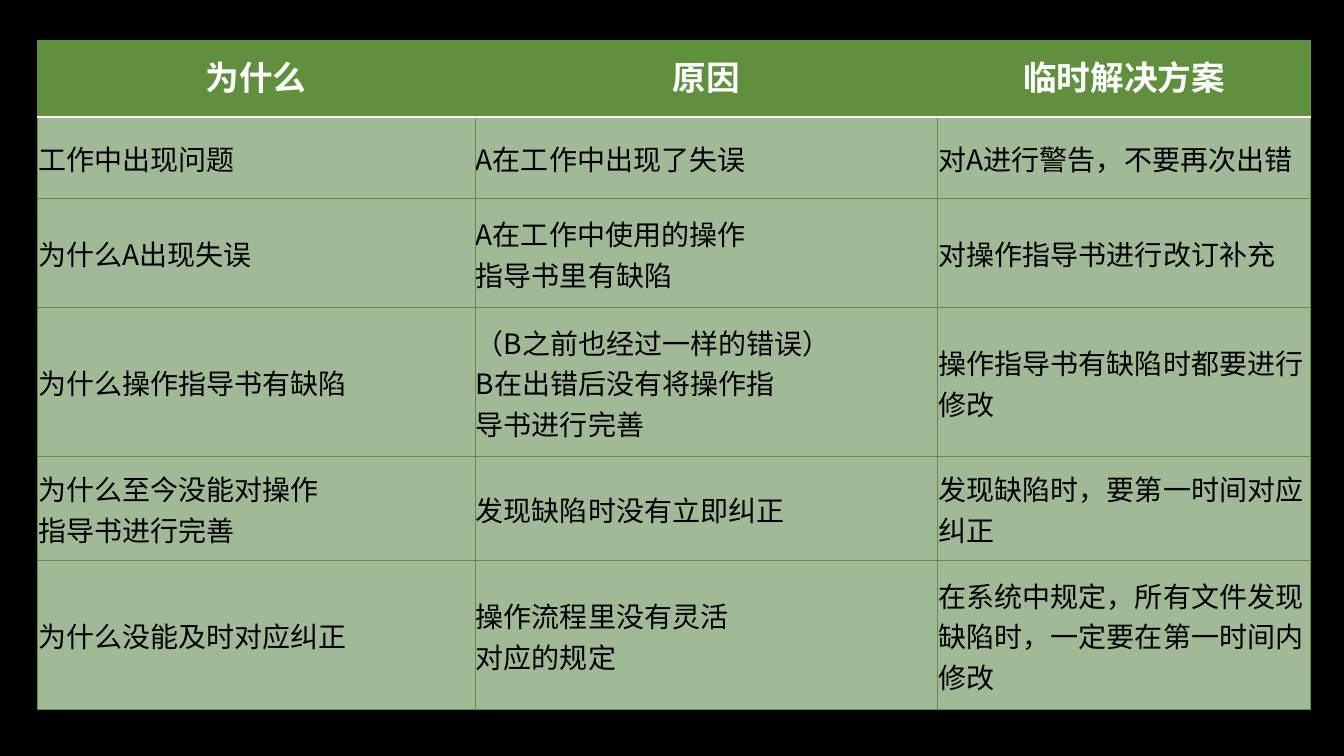
from lxml import etree
from pptx import Presentation
from pptx.dml.color import RGBColor
from pptx.enum.text import MSO_ANCHOR, PP_ALIGN
from pptx.oxml.ns import qn
from pptx.util import Inches, Pt

MIDDLE = MSO_ANCHOR.MIDDLE
LEFT, CENTER = PP_ALIGN.LEFT, PP_ALIGN.CENTER

BLACK, WHITE = "000000", "FFFFFF"
GREEN, PALE_GREEN = "608F3D", "A2B998"
HEADER_FONT, BODY_FONT = "Calibri", "Noto Sans CJK SC"

ROWS = [
    ("为什么", "原因", "临时解决方案"),
    ("工作中出现问题", "A在工作中出现了失误", "对A进行警告，不要再次出错"),
    ("为什么A出现失误", "A在工作中使用的操作\n指导书里有缺陷", "对操作指导书进行改订补充"),
    (
        "为什么操作指导书有缺陷",
        "（B之前也经过一样的错误）\nB在出错后没有将操作指\n导书进行完善",
        "操作指导书有缺陷时都要进行修改",
    ),
    (
        "为什么至今没能对操作\n指导书进行完善",
        "发现缺陷时没有立即纠正",
        "发现缺陷时，要第一时间对应纠正",
    ),
    (
        "为什么没能及时对应纠正",
        "操作流程里没有灵活\n对应的规定",
        "在系统中规定，所有文件发现缺陷时，一定要在第一时间内修改",
    ),
]
COLUMN_WIDTHS = [4.34, 4.59, 3.7]
ROW_HEIGHTS = [0.76, 0.81, 1.08, 1.48, 1.03, 1.48]
TABLE_LEFT, TABLE_TOP = 0.37, 0.4


def color(value):
    return RGBColor.from_string(value)


def write_text(text_frame, text, *, size, font, fill, bold=False, align=LEFT):
    paragraph = text_frame.paragraphs[0]
    paragraph.text = text
    paragraph.alignment = align
    for run in paragraph.runs:
        run.font.size = Pt(size)
        run.font.name = font
        run.font.bold = bold
        run.font.color.rgb = color(fill)
        east_asian = etree.SubElement(run.font._element, qn("a:ea"))
        east_asian.set("typeface", font)


def set_borders(cell, borders):
    properties = cell._tc.get_or_add_tcPr()
    for position, (side, (line_color, width)) in enumerate(borders.items()):
        line = etree.Element(qn(f"a:ln{side}"), w=str(Pt(width)))
        solid = etree.SubElement(line, qn("a:solidFill"))
        etree.SubElement(solid, qn("a:srgbClr"), val=line_color)
        properties.insert(position, line)


def format_cell(cell, fill):
    cell.fill.solid()
    cell.fill.fore_color.rgb = color(fill)
    cell.vertical_anchor = MIDDLE
    cell.margin_left = cell.margin_right = cell.margin_top = Inches(0.01)
    cell.margin_bottom = 0


def build_table(slide):
    table = slide.shapes.add_table(
        len(ROWS), len(COLUMN_WIDTHS),
        Inches(TABLE_LEFT), Inches(TABLE_TOP),
        Inches(sum(COLUMN_WIDTHS)), Inches(sum(ROW_HEIGHTS)),
    ).table
    table.horz_banding = False
    for column, width in zip(table.columns, COLUMN_WIDTHS):
        column.width = Inches(width)
    for row_index, (texts, height) in enumerate(zip(ROWS, ROW_HEIGHTS)):
        table.rows[row_index].height = Inches(height)
        is_header = row_index == 0
        borders = {side: (GREEN, 0.5) for side in "LRTB"}
        if is_header:
            borders["B"] = (WHITE, 1)
        elif row_index == 1:
            borders["T"] = (WHITE, 1)
        for column_index, text in enumerate(texts):
            cell = table.cell(row_index, column_index)
            format_cell(cell, GREEN if is_header else PALE_GREEN)
            set_borders(cell, borders)
            if is_header:
                write_text(cell.text_frame, text, size=24, font=HEADER_FONT,
                           fill=WHITE, bold=True, align=CENTER)
            else:
                write_text(cell.text_frame, text, size=20, font=BODY_FONT, fill=BLACK)


def main():
    presentation = Presentation()
    presentation.slide_width = Inches(13.33)
    presentation.slide_height = Inches(7.5)
    slide = presentation.slides.add_slide(presentation.slide_layouts[6])
    slide.background.fill.solid()
    slide.background.fill.fore_color.rgb = color(BLACK)
    build_table(slide)
    presentation.save("out.pptx")


if __name__ == "__main__":
    main()
